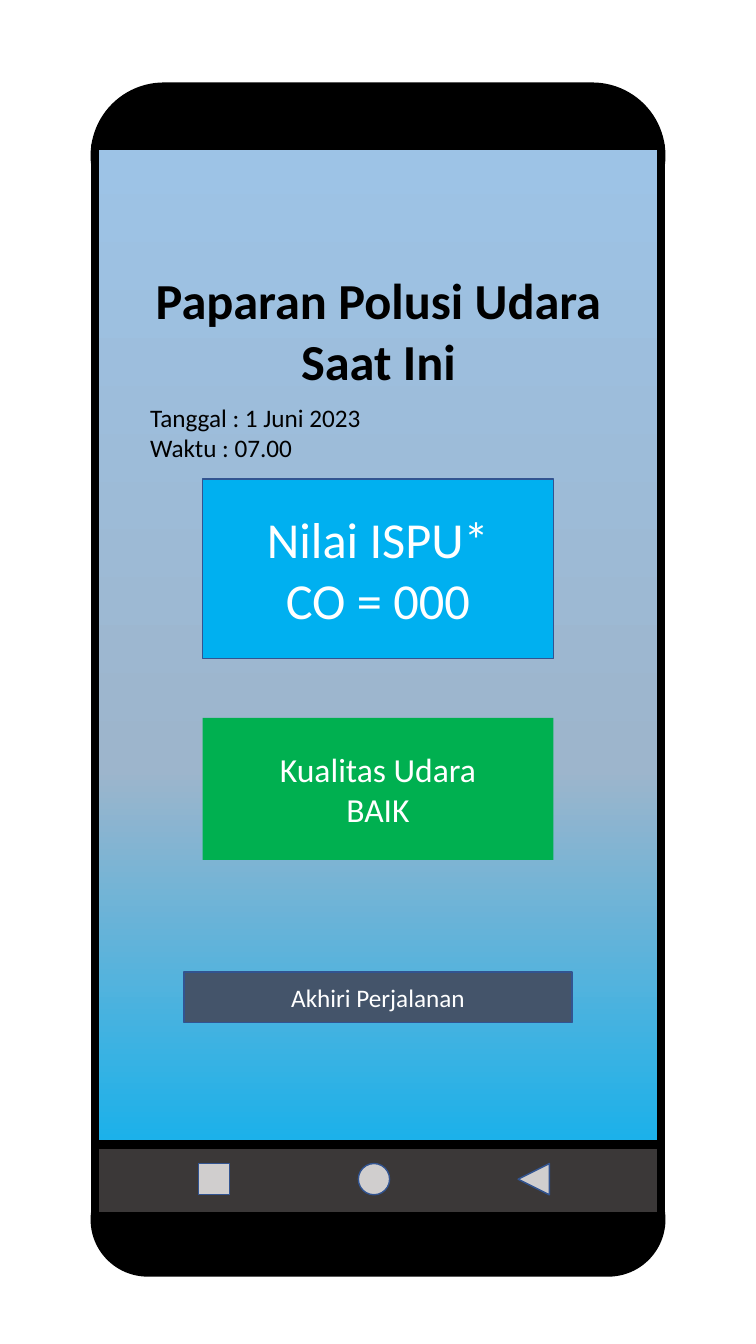
from copy import deepcopy

from pptx import Presentation
from pptx.dml.color import RGBColor
from pptx.enum.shapes import MSO_SHAPE
from pptx.enum.text import MSO_ANCHOR, MSO_AUTO_SIZE, PP_ALIGN
from pptx.oxml.ns import qn
from pptx.util import Inches, Pt

COLORS = {
    "black": "000000", "white": "FFFFFF", "bar": "3B3838", "icon": "D0CECE",
    "outline": "325491", "sky": "9DC3E6", "haze": "9DB5CC", "blue": "00B0F0",
    "green": "00B050", "slate": "44546A",
}
SLIDE_WIDTH, SLIDE_HEIGHT = 7.5, 13.33
PHONE_LEFT, PHONE_WIDTH = 0.94, 5.62
PHONE_PARTS = [
    (MSO_SHAPE.ROUNDED_RECTANGLE, 0.86, 1.37, "black"),
    (MSO_SHAPE.ROUNDED_RECTANGLE, 11.57, 1.05, "black"),
    (MSO_SHAPE.RECTANGLE, 1.45, 10.65, None),
    (MSO_SHAPE.RECTANGLE, 11.35, 0.71, "bar"),
]
SCREEN_STOPS = [(0, "sky"), (0.58, "haze"), (1, "blue")]
ICONS = [
    (MSO_SHAPE.RECTANGLE, 0),
    (MSO_SHAPE.OVAL, 0),
    (MSO_SHAPE.ISOSCELES_TRIANGLE, 270),
]
ICON_LEFT, ICON_TOP, ICON_SIZE, ICON_STEP = 1.97, 11.54, 0.31, 1.585
TITLE = "Paparan Polusi Udara Saat Ini"
TIMESTAMP = ["Tanggal : 1 Juni 2023", "Waktu : 07.00"]
PANELS = [
    (["Nilai ISPU*", "CO = 000"], 4.75, 3.48, 1.78, "blue", "outline", 36),
    (["Kualitas Udara", "BAIK"], 7.12, 3.48, 1.41, "green", None, 24),
    (["Akhiri Perjalanan"], 9.64, 3.85, 0.5, "slate", "outline", 18),
]


def rgb(name):
    return RGBColor.from_string(COLORS[name])


def add_part(slide, kind, box, fill, line=None, line_width=1):
    shape = slide.shapes.add_shape(kind, *map(Inches, box))
    shape.shadow.inherit = False
    if fill:
        shape.fill.solid()
        shape.fill.fore_color.rgb = rgb(fill)
    if line:
        shape.line.color.rgb = rgb(line)
        shape.line.width = Pt(line_width)
    else:
        shape.line.fill.background()
    return shape


def write(shape, lines, size, color, alignment, anchor, bold=False):
    frame = shape.text_frame
    frame.word_wrap = True
    frame.vertical_anchor = anchor
    frame.text = "\n".join(lines)
    formats = {"name": "Calibri", "size": Pt(size), "bold": bold}
    for paragraph in frame.paragraphs:
        paragraph.alignment = alignment
        for run in paragraph.runs:
            for attribute, value in formats.items():
                setattr(run.font, attribute, value)
            run.font.color.rgb = rgb(color)


def fill_screen(shape):
    shape.fill.gradient()
    shape.fill.gradient_angle = 270
    stop_list = shape.element.spPr.find(".//" + qn("a:gsLst"))
    stop_list.append(deepcopy(stop_list[0]))
    for stop, (position, color) in zip(shape.fill.gradient_stops, SCREEN_STOPS):
        stop.position = position
        stop.color.rgb = rgb(color)


def add_phone(slide):
    for kind, top, height, fill in PHONE_PARTS:
        box = (PHONE_LEFT, top, PHONE_WIDTH, height)
        shape = add_part(slide, kind, box, fill, "black", 6)
        if kind == MSO_SHAPE.ROUNDED_RECTANGLE:
            shape.adjustments[0] = 0.5
        if fill is None:
            fill_screen(shape)
    for index, (kind, rotation) in enumerate(ICONS):
        box = (ICON_LEFT + index * ICON_STEP, ICON_TOP, ICON_SIZE, ICON_SIZE)
        add_part(slide, kind, box, "icon", "outline").rotation = rotation


def add_texts(slide):
    title = slide.shapes.title
    title.element.getparent().append(title.element)
    title_box = {"left": 1.39, "top": 2.62, "width": 4.73, "height": 1.31}
    for attribute, value in title_box.items():
        setattr(title, attribute, Inches(value))
    write(title, [TITLE], 36, "black", PP_ALIGN.CENTER, MSO_ANCHOR.TOP, True)
    timestamp = slide.shapes.add_textbox(*map(Inches, (1.39, 3.94, 3.14, 0.71)))
    write(timestamp, TIMESTAMP, 18, "black", PP_ALIGN.LEFT, MSO_ANCHOR.TOP)
    for shape in (title, timestamp):
        shape.text_frame.auto_size = MSO_AUTO_SIZE.SHAPE_TO_FIT_TEXT


def add_panels(slide):
    center = PHONE_LEFT + PHONE_WIDTH / 2
    for lines, top, width, height, fill, line, size in PANELS:
        box = (center - width / 2, top, width, height)
        panel = add_part(slide, MSO_SHAPE.RECTANGLE, box, fill, line)
        write(panel, lines, size, "white", PP_ALIGN.CENTER, MSO_ANCHOR.MIDDLE)


def main():
    presentation = Presentation()
    presentation.slide_width = Inches(SLIDE_WIDTH)
    presentation.slide_height = Inches(SLIDE_HEIGHT)
    slide = presentation.slides.add_slide(presentation.slide_layouts[5])
    add_phone(slide)
    add_texts(slide)
    add_panels(slide)
    presentation.save("out.pptx")


if __name__ == "__main__":
    main()
